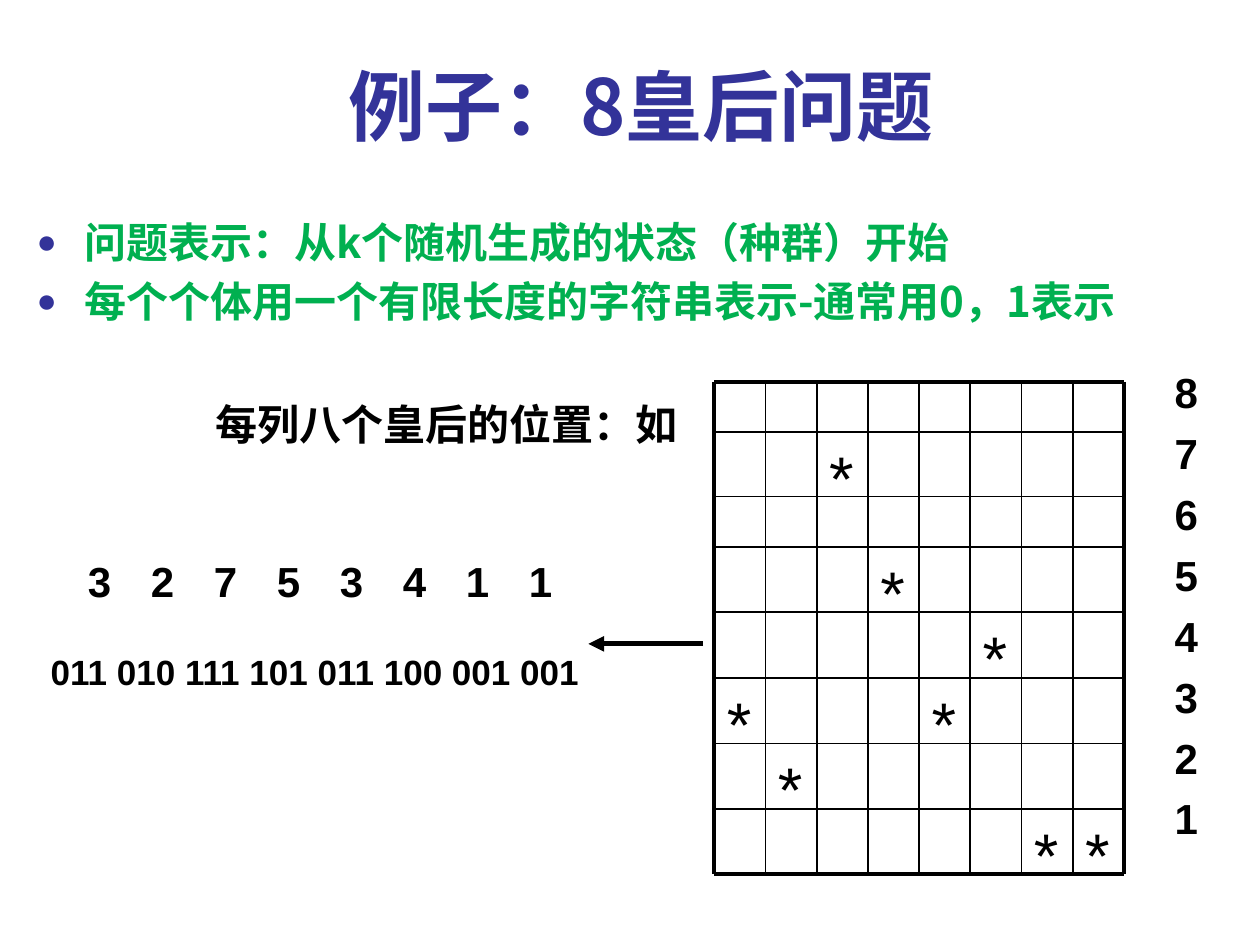
from dataclasses import dataclass
from itertools import accumulate

from lxml import etree
from pptx import Presentation
from pptx import util as u
from pptx.dml.color import RGBColor
from pptx.enum import shapes, text
from pptx.oxml import ns


@dataclass(frozen=True)
class Theme:
    title: str = "333399"
    point: str = "00B050"
    ink: str = "000000"
    latin: str = "Arial"
    chinese: str = "Noto Sans CJK SC"
    heading: str = "Noto Sans CJK JP"
    title_size: int = 44
    queen_size: int = 36
    body_size: int = 24
    code_size: int = 20
    thin: float = 1
    frame: float = 2.25
    arrow: float = 3


THEME = Theme()
GENES = [3, 2, 7, 5, 3, 4, 1, 1]
ROW_HEIGHTS = [0.4, 0.51, 0.4] + [0.52] * 5


def add_xml(parent, tag, **attributes):
    return etree.SubElement(parent, ns.qn(tag), attributes)


def add_text(slide, box, content, size=THEME.body_size, color=THEME.ink,
             font=THEME.latin, east=THEME.chinese, bold=True, align="LEFT",
             anchor="TOP", before=0, bullet=None, inset=None, tabs=(),
             indent=0, hanging=0, wrap=True):
    frame = slide.shapes.add_textbox(*map(u.Inches, box)).text_frame
    frame.word_wrap = wrap
    frame.vertical_anchor = getattr(text.MSO_ANCHOR, anchor)
    if inset is not None:
        frame.margin_left = frame.margin_right = u.Inches(inset)
        frame.margin_top = frame.margin_bottom = u.Inches(inset)
    for number, line in enumerate(content.split("\n")):
        paragraph = frame.add_paragraph() if number else frame.paragraphs[0]
        paragraph.alignment = getattr(text.PP_ALIGN, align)
        run = paragraph.add_run()
        run.text = line
        run.font.size = u.Pt(size)
        run.font.bold = bold
        run.font.name = font
        run.font.color.rgb = RGBColor.from_string(color)
        add_xml(run.font._element, "a:ea", typeface=east)
        layout = paragraph._p.get_or_add_pPr()
        layout.set("marL", str(u.Inches(indent)))
        layout.set("indent", str(u.Inches(-hanging)))
        if before:
            add_xml(add_xml(layout, "a:spcBef"), "a:spcPct", val=str(before * 1000))
        if bullet:
            add_xml(add_xml(layout, "a:buClr"), "a:srgbClr", val=bullet)
            add_xml(layout, "a:buSzPct", val="80000")
            add_xml(layout, "a:buFont", typeface=THEME.latin)
            add_xml(layout, "a:buChar", char="●")
        if tabs:
            stops = add_xml(layout, "a:tabLst")
            for stop in tabs:
                add_xml(stops, "a:tab", pos=str(u.Inches(stop)), algn="l")


def add_line(slide, start, end, width, arrow=False):
    line = slide.shapes.add_connector(
        shapes.MSO_CONNECTOR.STRAIGHT, *map(u.Inches, (*start, *end)))
    line.line.color.rgb = RGBColor.from_string(THEME.ink)
    line.line.width = u.Pt(width)
    if arrow:
        add_xml(line.line._get_or_add_ln(), "a:tailEnd", type="triangle")
    add_xml(line._element.spPr, "a:effectLst")


def add_title(slide, box):
    add_text(slide, box, "例子：8皇后问题", size=THEME.title_size, color=THEME.title,
             font=THEME.heading, east=THEME.heading, align="CENTER", anchor="BOTTOM")


def add_points(slide, box):
    add_text(slide, box,
             "问题表示：从k个随机生成的状态（种群）开始\n"
             "每个个体用一个有限长度的字符串表示-通常用0，1表示",
             color=THEME.point, font=THEME.chinese, before=20,
             bullet=THEME.title, inset=0, indent=0.38, hanging=0.38)


def add_board(slide, box):
    left, top, width, height = box
    side = len(GENES)
    cell = width / side
    columns = [left + cell * i for i in range(side + 1)]
    rows = [top + y for y in accumulate(ROW_HEIGHTS, initial=0)]
    for column, rank in enumerate(GENES):
        row = side - rank
        add_text(slide, (columns[column], rows[row], cell, ROW_HEIGHTS[row]), "*",
                 size=THEME.queen_size, bold=False, before=20)
    for i in range(side + 1):
        weight = THEME.frame if i in (0, side) else THEME.thin
        add_line(slide, (left, rows[i]), (left + width, rows[i]), weight)
        add_line(slide, (columns[i], top), (columns[i], top + height), weight)
    ranks = "\n".join(str(rank) for rank in range(side, 0, -1))
    add_text(slide, (left + width + 0.16, top - 0.17, 0.67, 4), ranks,
             align="CENTER", before=25)


def add_encoding(slide, box):
    left, top, width, height = box
    pitch, first = 0.46, 0.35
    add_text(slide, (left, top, width, 0.5), "\t".join(map(str, GENES)),
             before=50, indent=first,
             tabs=[first + pitch * i for i in range(1, len(GENES))])
    add_text(slide, (left, top + 0.75, width, height - 0.75),
             " ".join(format(gene, "03b") for gene in GENES),
             size=THEME.code_size, align="CENTER", before=50)
    add_line(slide, (left + width + 0.83, top + 0.75),
             (left + width - 0.08, top + 0.75), THEME.arrow, arrow=True)


def build():
    deck = Presentation()
    deck.slide_width, deck.slide_height = u.Inches(10), u.Inches(7.5)
    slide = deck.slides.add_slide(deck.slide_layouts[6])
    add_points(slide, (0.29, 1.72, 9.71, 5.77))
    add_text(slide, (1.42, 3.11, 4.25, 0.5), "每列八个皇后的位置：如",
             align="CENTER", before=50)
    add_board(slide, (5.67, 3.03, 3.25, sum(ROW_HEIGHTS)))
    add_encoding(slide, (0.25, 4.36, 4.5, 1.18))
    add_title(slide, (0.83, 0.23, 8.52, 1.02))
    deck.save("out.pptx")


build()
